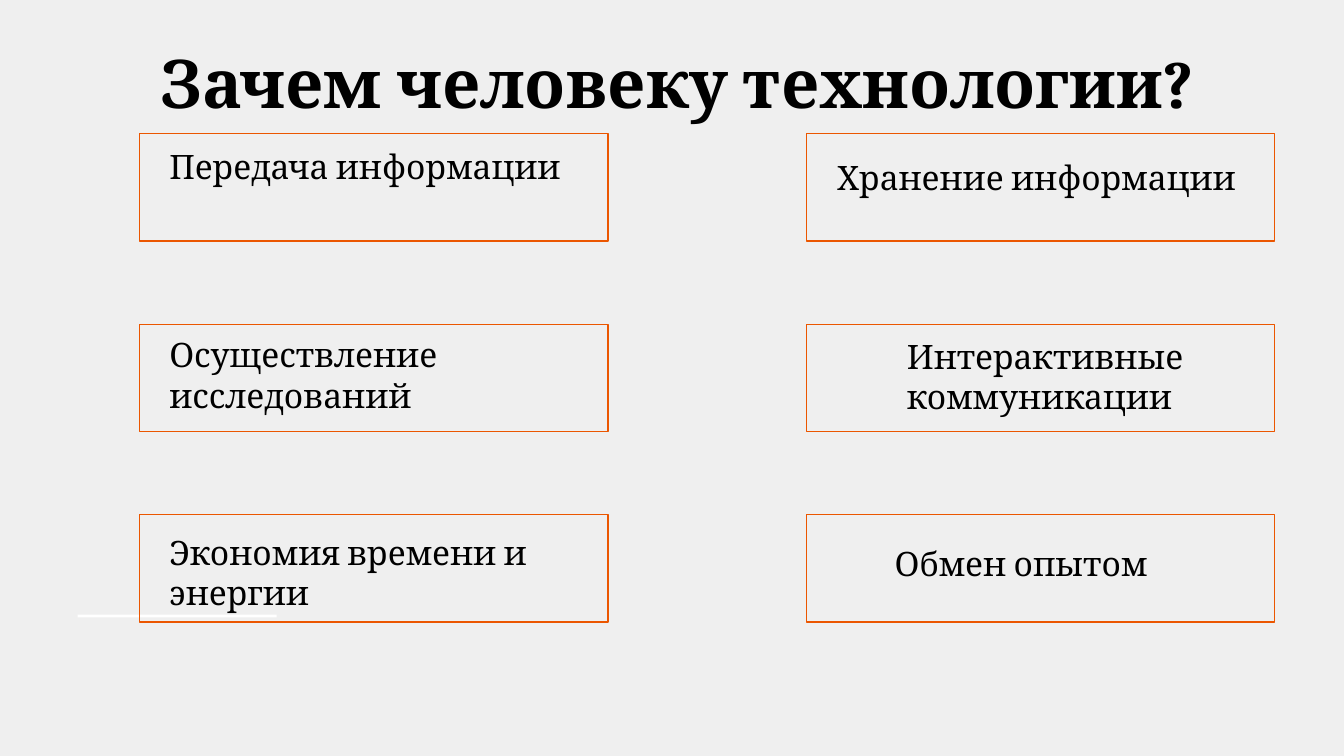
from itertools import product

from pptx import Presentation
from pptx.dml.color import RGBColor
from pptx.enum.shapes import MSO_SHAPE as Preset
from pptx.enum.text import MSO_ANCHOR as Anchor, PP_ALIGN as Align
from pptx.util import Cm, Pt

COLORS = {"paper": "EFEFEF", "frame": "EB5600", "text": "000000", "accent": "FFFFFF"}

# left, top, width, height in cm
REASONS = [
    ("Осуществление исследований", (2.95, 6.07, 8.53, 2.16)),
    ("Передача информации", (2.95, 2.51, 8.84, 1.17)),
    ("Экономия времени и энергии", (2.95, 9.8, 9.53, 1.4)),
    ("Интерактивные коммуникации", (16.89, 6.1, 6.22, 1.47)),
    ("Хранение информации", (15.57, 2.72, 9.53, 0.97)),
    ("Обмен опытом", (16.66, 10.01, 7.32, 1.47)),
]
FRAME_LEFTS = (2.64, 15.24)
FRAME_TOP, FRAME_STEP, FRAME_ROWS = 2.53, 3.6, 3
FRAME_SIZE = (8.85, 2.03)
BAR_LEFT, BAR_TOP, BAR_SIZE = 1.47, 11.62, (1.88, 0.05)


def color(name):
    return RGBColor.from_string(COLORS[name])


def set_all(target, values):
    for name, value in values.items():
        setattr(target, name, value)


def add_text(page, text, place, size, bold=False):
    box = page.shapes.add_textbox(*map(Cm, place))
    margins = ("margin_left", "margin_top", "margin_right", "margin_bottom")
    set_all(box.text_frame, {name: Cm(0.25) for name in margins})
    set_all(box.text_frame, {"word_wrap": True, "vertical_anchor": Anchor.TOP})
    para = box.text_frame.paragraphs[0]
    para.alignment = Align.LEFT
    span = para.add_run()
    span.text = text
    set_all(span.font, {"name": "Cambria", "size": Pt(size), "bold": bold})
    span.font.color.rgb = color("text")


def add_rectangle(page, place, fill=None, line=None):
    """Add a rectangle; a missing fill or line stays empty."""
    box = page.shapes.add_shape(Preset.RECTANGLE, *map(Cm, place))
    box.shadow.inherit = False
    if fill:
        box.fill.solid()
        box.fill.fore_color.rgb = color(fill)
    else:
        box.fill.background()
    if line:
        box.line.color.rgb = color(line)
        box.line.width = Pt(0.75)
    else:
        box.line.fill.background()


def main():
    deck = Presentation()
    set_all(deck, {"slide_width": Cm(25.4), "slide_height": Cm(14.29)})
    page = deck.slides.add_slide(deck.slide_layouts[6])
    page.background.fill.solid()
    page.background.fill.fore_color.rgb = color("paper")

    for index in range(2):
        left = BAR_LEFT + index * BAR_SIZE[0]
        add_rectangle(page, (left, BAR_TOP, *BAR_SIZE), fill="accent")
    for text, place in REASONS:
        add_text(page, text, place, size=18)
    for left, row in product(FRAME_LEFTS, range(FRAME_ROWS)):
        top = FRAME_TOP + row * FRAME_STEP
        add_rectangle(page, (left, top, *FRAME_SIZE), line="frame")
    add_text(page, "Зачем человеку технологии?", (2.79, 0.53, 21.16, 1.75), size=36, bold=True)

    deck.save("out.pptx")


if __name__ == "__main__":
    main()
